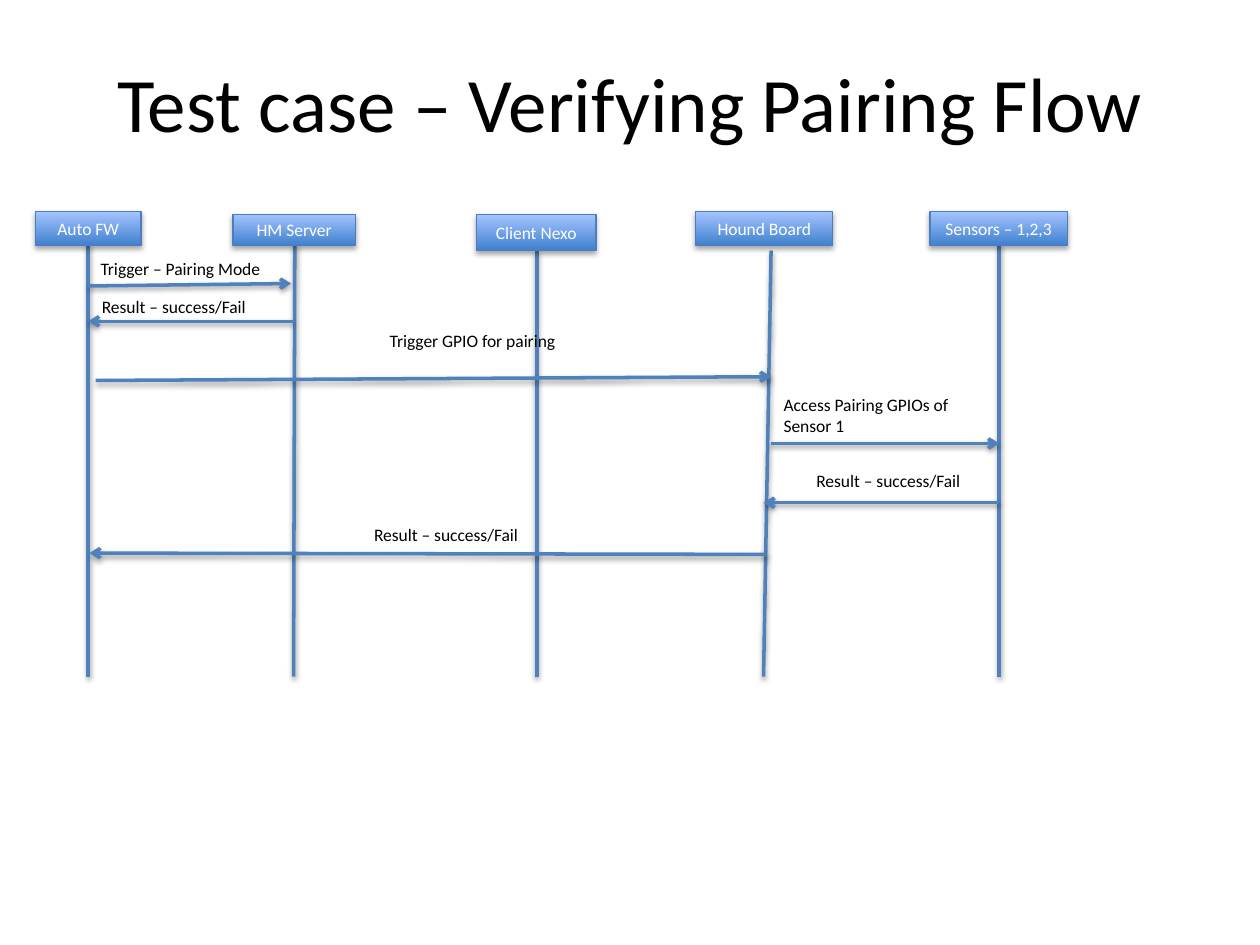
from pptx import Presentation
from pptx.dml.color import RGBColor
from pptx.enum.shapes import MSO_CONNECTOR, MSO_SHAPE
from pptx.enum.text import MSO_ANCHOR, PP_ALIGN
from pptx.oxml import parse_xml
from pptx.oxml.ns import nsdecls
from pptx.util import Inches, Pt

STRAIGHT = MSO_CONNECTOR.STRAIGHT
RECTANGLE = MSO_SHAPE.RECTANGLE
MIDDLE = MSO_ANCHOR.MIDDLE
LEFT, CENTER = PP_ALIGN.LEFT, PP_ALIGN.CENTER
TITLE_ONLY = 5
FONT = "Calibri"
COLORS = {
    "text": "000000",
    "box_text": "FFFFFF",
    "box_bottom": "3F80CE",
    "box_top": "A4C4FF",
    "box_border": "4B7EBC",
    "line": "4F81BD",
}
COLORS = {name: RGBColor.from_string(value) for name, value in COLORS.items()}


def add_shadow(shape, distance, opacity):
    shape._element.spPr.append(parse_xml(
        f'<a:effectLst {nsdecls("a")}>'
        f'<a:outerShdw blurRad="{Pt(3.1)}" dist="{Pt(distance)}" dir="5400000" rotWithShape="0">'
        f'<a:srgbClr val="000000"><a:alpha val="{opacity * 1000}"/></a:srgbClr>'
        '</a:outerShdw></a:effectLst>'))


def write_text(shape, text, size, color, alignment):
    shape.text_frame.word_wrap = True
    paragraph = shape.text_frame.paragraphs[0]
    paragraph.text = text
    paragraph.alignment = alignment
    paragraph.font.name = FONT
    paragraph.font.size = Pt(size)
    paragraph.font.color.rgb = COLORS[color]


presentation = Presentation()
presentation.slide_width = Inches(10)
presentation.slide_height = Inches(7.5)
slide = presentation.slides.add_slide(presentation.slide_layouts[TITLE_ONLY])

# Title
title = slide.shapes.title
title.left, title.top = Inches(0.5), Inches(0.18)
title.width, title.height = Inches(9), Inches(1.25)
title.text_frame.vertical_anchor = MIDDLE
write_text(title, "Test case – Verifying Pairing Flow", 44, "text", CENTER)

# Lifelines and messages: start x, start y, end x, end y
BOTTOM = 5.37
lifelines = [
    (0.7, 1.94, 0.7, BOTTOM),
    (2.34, 1.94, 2.33, BOTTOM),
    (4.26, 1.99, 4.26, BOTTOM),
    (6.12, 1.99, 6.06, BOTTOM),
    (7.93, 1.94, 7.93, BOTTOM),
]
messages = [
    (0.7, 2.27, 2.31, 2.25),
    (2.33, 2.55, 0.7, 2.55),
    (0.76, 3.02, 6.12, 2.99),
    (6.12, 3.52, 7.93, 3.52),
    (7.93, 3.99, 6.06, 3.99),
    (6.08, 4.4, 0.71, 4.39),
]
for ends in lifelines + messages:
    connector = slide.shapes.add_connector(STRAIGHT, *map(Inches, ends))
    connector.line.color.rgb = COLORS["line"]
    connector.line.width = Pt(2)
    if ends in messages:
        connector.line._get_or_add_ln().append(
            parse_xml(f'<a:tailEnd {nsdecls("a")} type="arrow"/>'))
    add_shadow(connector, 1.6, 38)

# Participants: name, left, top, width, height
participants = [
    ("Auto FW", 0.28, 1.68, 0.84, 0.27),
    ("HM Server", 1.85, 1.7, 0.97, 0.25),
    ("Client Nexo", 3.78, 1.7, 0.95, 0.29),
    ("Hound Board", 5.52, 1.68, 1.09, 0.27),
    ("Sensors – 1,2,3", 7.38, 1.68, 1.09, 0.27),
]
for name, *place in participants:
    box = slide.shapes.add_shape(RECTANGLE, *map(Inches, place))
    box.fill.gradient()
    box.fill.gradient_angle = 90
    for stop, position, color in zip(box.fill.gradient_stops, (0, 1), ("box_bottom", "box_top")):
        stop.position = position
        stop.color.rgb = COLORS[color]
    box.line.color.rgb = COLORS["box_border"]
    box.line.width = Pt(0.75)
    add_shadow(box, 1.8, 35)
    box.text_frame.vertical_anchor = MIDDLE
    write_text(box, name, 10, "box_text", CENTER)

# Message labels: text, left, top, width, height, alignment
RESULT = "Result – success/Fail"
labels = [
    ("Trigger – Pairing Mode", 0.7, 2, 1.63, 0.27, LEFT),
    (RESULT, 0.71, 2.3, 1.88, 0.27, LEFT),
    ("Trigger GPIO for pairing", 1.85, 2.57, 3.8, 0.44, CENTER),
    ("Access Pairing GPIOs of Sensor 1", 6.12, 3.08, 1.89, 0.44, LEFT),
    (RESULT, 2.87, 4.11, 1.39, 0.27, LEFT),
    (RESULT, 6.38, 3.68, 1.39, 0.27, LEFT),
]
for text, *place, alignment in labels:
    label = slide.shapes.add_textbox(*map(Inches, place))
    write_text(label, text, 10, "text", alignment)

presentation.save("out.pptx")
